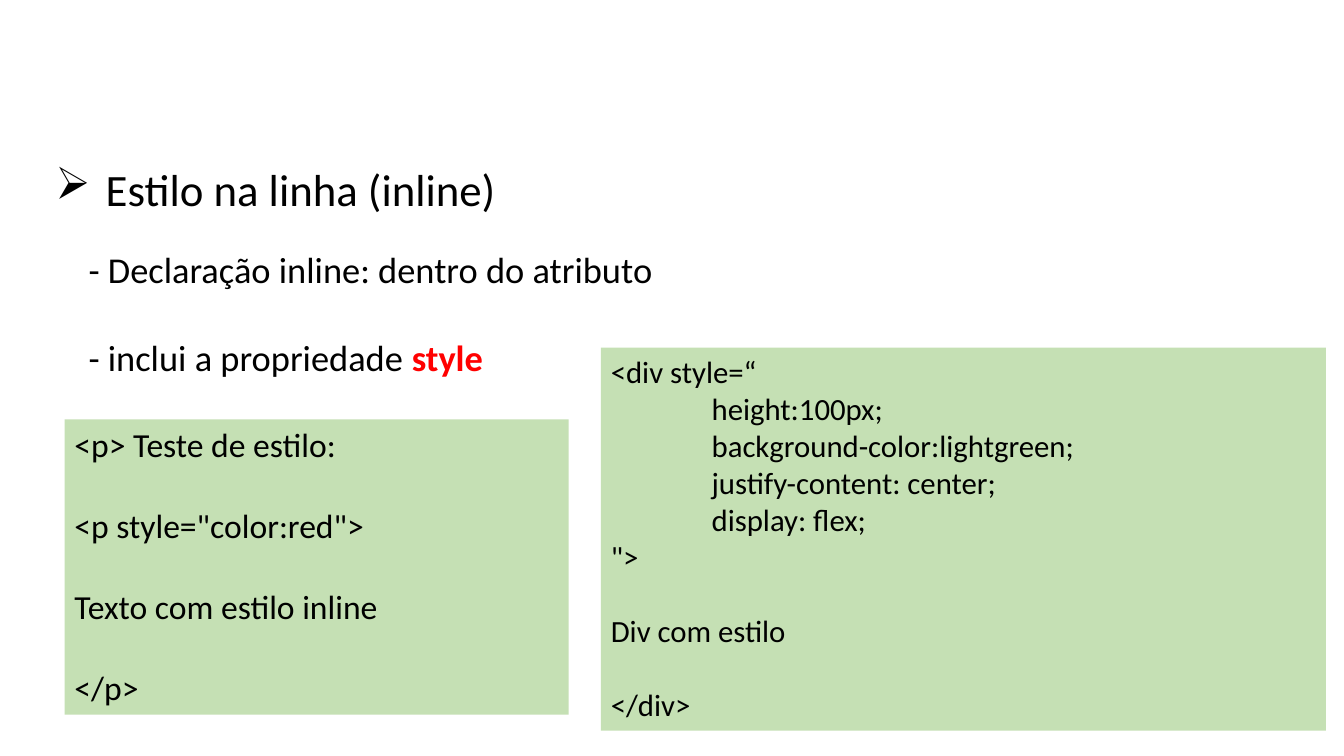
import pptx
import pptx.util
import pptx.dml.color
import pptx.enum.shapes
import pptx.enum.text
import pptx.oxml.ns
import lxml.etree

COLORS = {"text": "000000", "accent": "FF0000", "code": "C5E0B4"}
FONT = "Calibri"
WIDTH, HEIGHT = 13.33, 7.5
LINE = 1.21  # line height as a share of the font size
INDENT = 1  # inches for each nesting level of code

# Content: each paragraph is (text, nesting level, blank lines above, accented ending)
HEADING = [("Estilo na linha (inline)", 0, 0, "")]
NOTES = [
    ("- Declaração inline: dentro do atributo", 0, 0, ""),
    ("- inclui a propriedade ", 0, 1, "style"),
]
PARAGRAPH_CODE = [
    ("<p> Teste de estilo:", 0, 0, ""),
    ('<p style="color:red">', 0, 1, ""),
    ("Texto com estilo inline", 0, 1, ""),
    ("</p>", 0, 1, ""),
]
DIV_CODE = [
    ("<div style=“", 0, 0, ""),
    ("height:100px;", 1, 0, ""),
    ("background-color:lightgreen;", 1, 0, ""),
    ("justify-content: center;", 1, 0, ""),
    ("display: flex;", 1, 0, ""),
    ('">', 0, 0, ""),
    ("Div com estilo", 0, 1, ""),
    ("</div>", 0, 1, ""),
]

# Parts: lines, (left, top, width, height) in inches, font size, fill, bullet
PARTS = [
    (HEADING, (0.45, 1.56, 11.25, 0.64), 32, None, "➢"),
    (NOTES, (0.78, 2.4, 10.36, 1.41), 26, None, None),
    (PARAGRAPH_CODE, (0.64, 4.16, 5, 2.93), 24, "code", None),
    (DIV_CODE, (5.96, 3.45, 7.19, 3.8), 22, "code", None),
]


def color(name):
    return pptx.dml.color.RGBColor.from_string(COLORS[name])


def add_span(para, text, size, tint="text", bold=False):
    span = para.add_run()
    span.text = text
    values = {"name": FONT, "size": pptx.util.Pt(size), "bold": bold}
    for key, value in values.items():
        setattr(span.font, key, value)
    span.font.color.rgb = color(tint)


def set_indent(para, left, first=0, bullet=None):
    properties = para._p.get_or_add_pPr()
    for key, value in {"marL": left, "indent": first}.items():
        properties.set(key, str(int(pptx.util.Inches(value))))
    if bullet:
        mark = lxml.etree.SubElement(properties, pptx.oxml.ns.qn("a:buChar"))
        mark.set("char", bullet)


def add_part(page, lines, place, size, fill, bullet):
    place = [pptx.util.Inches(length) for length in place]
    if fill:
        box = page.shapes.add_shape(pptx.enum.shapes.MSO_SHAPE.RECTANGLE, *place)
        box.shadow.inherit = False
        box.fill.solid()
        box.fill.fore_color.rgb = color(fill)
        box.line.fill.background()
    else:
        box = page.shapes.add_textbox(*place)
    frame = box.text_frame
    values = {
        "word_wrap": True,
        "auto_size": pptx.enum.text.MSO_AUTO_SIZE.SHAPE_TO_FIT_TEXT,
        "vertical_anchor": pptx.enum.text.MSO_ANCHOR.TOP,
    }
    for key, value in values.items():
        setattr(frame, key, value)

    for number, (text, level, gap, ending) in enumerate(lines):
        para = frame.add_paragraph() if number else frame.paragraphs[0]
        para.alignment = pptx.enum.text.PP_ALIGN.LEFT
        para.space_before = pptx.util.Pt(round(gap * size * LINE, 1))
        if bullet:
            set_indent(para, 0.5, -0.5, bullet)
        elif level:
            set_indent(para, level * INDENT)
        add_span(para, text, size)
        if ending:
            add_span(para, ending, size, "accent", True)


deck = pptx.Presentation()
deck.slide_width = pptx.util.Inches(WIDTH)
deck.slide_height = pptx.util.Inches(HEIGHT)
page = deck.slides.add_slide(deck.slide_layouts[6])

# Heading, notes and both code boxes
for part in PARTS:
    add_part(page, *part)

deck.save("out.pptx")
